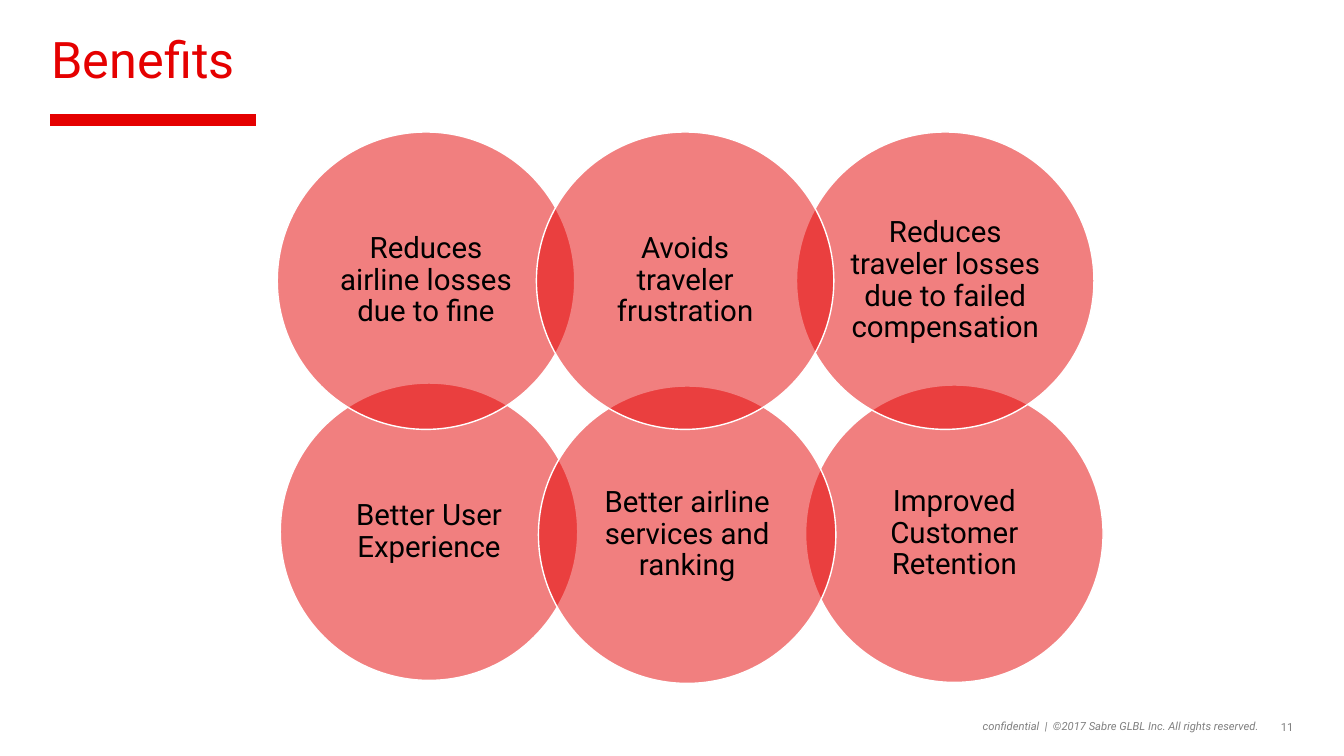
from lxml import etree
from pptx import Presentation
from pptx import util as u
from pptx.dml.color import RGBColor
from pptx.enum import shapes, text
from pptx.oxml.ns import qn

RED, GREY, BLACK, WHITE = "E50000", "808080", "000000", "FFFFFF"
FONT = "Roboto"
PX = 9144  # EMU per px, 100 px to the inch
DIAMETER = 295
INSET = 9

TITLE = "Benefits"
# (left, top, label), from back to front
BENEFITS = [
    (278, 380, "Better User Experience"),
    (799, 382, "Improved Customer Retention"),
    (534, 383, "Better airline services and ranking"),
    (275, 131, "Reduces airline losses due to fine"),
    (790, 131, "Reduces traveler losses due to failed compensation"),
    (532, 131, "Avoids traveler frustration"),
]
# (box, text, italic)
FOOTERS = [
    ((872, 714, 377, 13), "confidential  |  ©2017 Sabre GLBL Inc. All rights reserved.", True),
    ((1255, 715, 28, 13), "11", False),
]


def px(*lengths):
    return [u.Emu(n * PX) for n in lengths]


def rgb(color):
    return RGBColor.from_string(color)


def write(sp, words, size, color, align, anchor, inset=0, spacing=None, italic=False):
    tf = sp.text_frame
    tf.word_wrap = True
    tf.auto_size = text.MSO_AUTO_SIZE.NONE
    tf.vertical_anchor = anchor
    tf.margin_left = tf.margin_top = tf.margin_right = tf.margin_bottom = px(inset)[0]
    p = tf.paragraphs[0]
    p.alignment = align
    p.line_spacing = spacing
    r = p.add_run()
    r.text = words
    r.font.name = FONT
    r.font.size = u.Pt(size)
    r.font.italic = italic
    r.font.color.rgb = rgb(color)


def add_rule(s):
    rule = s.shapes.add_connector(shapes.MSO_CONNECTOR.STRAIGHT, *px(50, 119, 254, 119))
    rule.line.color.rgb = rgb(RED)
    rule.line.width = u.Pt(8)
    etree.SubElement(rule._element.spPr, qn("a:effectLst"))


def add_circle(s, left, top, label):
    sp = s.shapes.add_shape(shapes.MSO_SHAPE.OVAL, *px(left, top, DIAMETER, DIAMETER))
    sp.shadow.inherit = False
    sp.fill.solid()
    sp.fill.fore_color.rgb = rgb(RED)
    color = sp._element.spPr.find(qn("a:solidFill")).find(qn("a:srgbClr"))
    etree.SubElement(color, qn("a:alpha"), val="50000")
    sp.line.color.rgb = rgb(WHITE)
    sp.line.width = u.Pt(1)
    write(sp, label, 21, BLACK, text.PP_ALIGN.CENTER, text.MSO_ANCHOR.MIDDLE,
          inset=INSET, spacing=0.9)


def main():
    prs = Presentation()
    prs.slide_width, prs.slide_height = px(1333, 750)
    s = prs.slides.add_slide(prs.slide_layouts[5])

    title = s.shapes.title
    title.left, title.top, title.width, title.height = px(51, 34, 1232, 55)
    write(title, TITLE, 36, RED, text.PP_ALIGN.LEFT, text.MSO_ANCHOR.MIDDLE, spacing=0.9)

    add_rule(s)
    for box, words, italic in FOOTERS:
        write(s.shapes.add_textbox(*px(*box)), words, 8, GREY,
              text.PP_ALIGN.RIGHT, text.MSO_ANCHOR.BOTTOM, italic=italic)
    for benefit in BENEFITS:
        add_circle(s, *benefit)
    prs.save("out.pptx")


if __name__ == "__main__":
    main()
